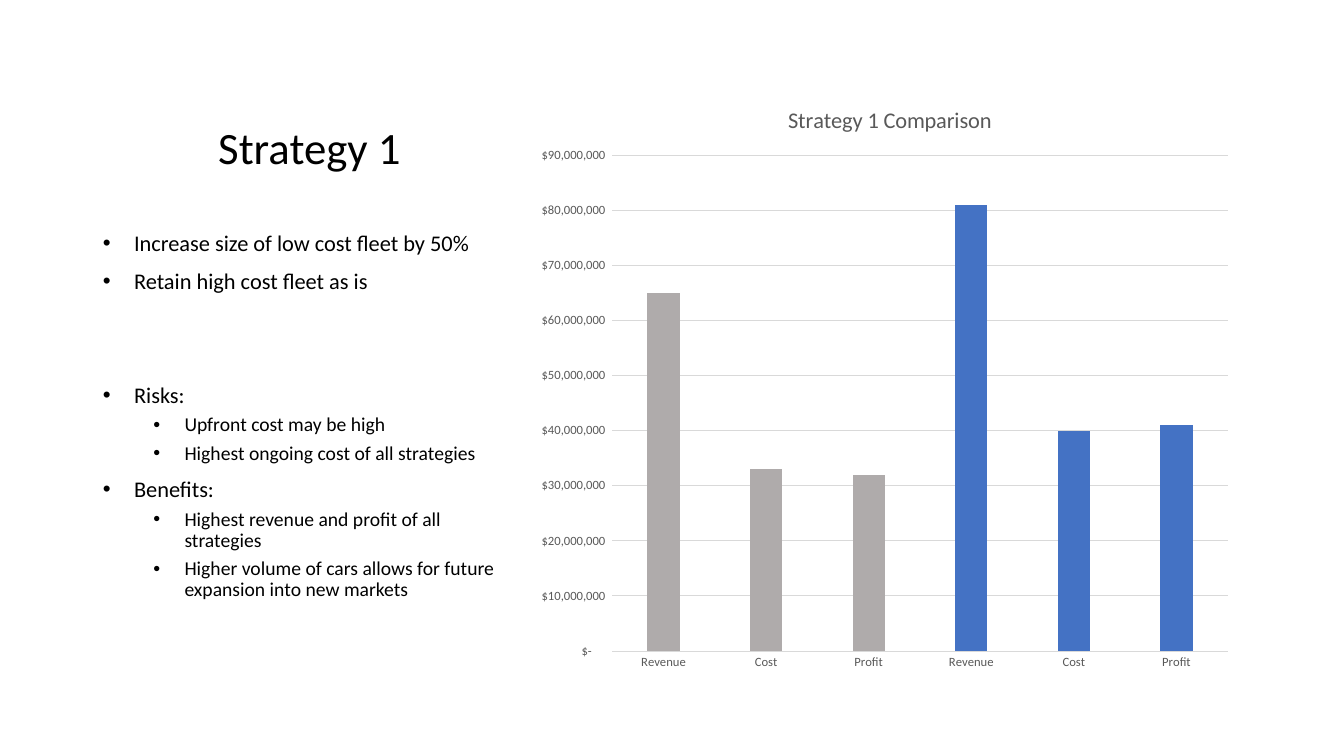
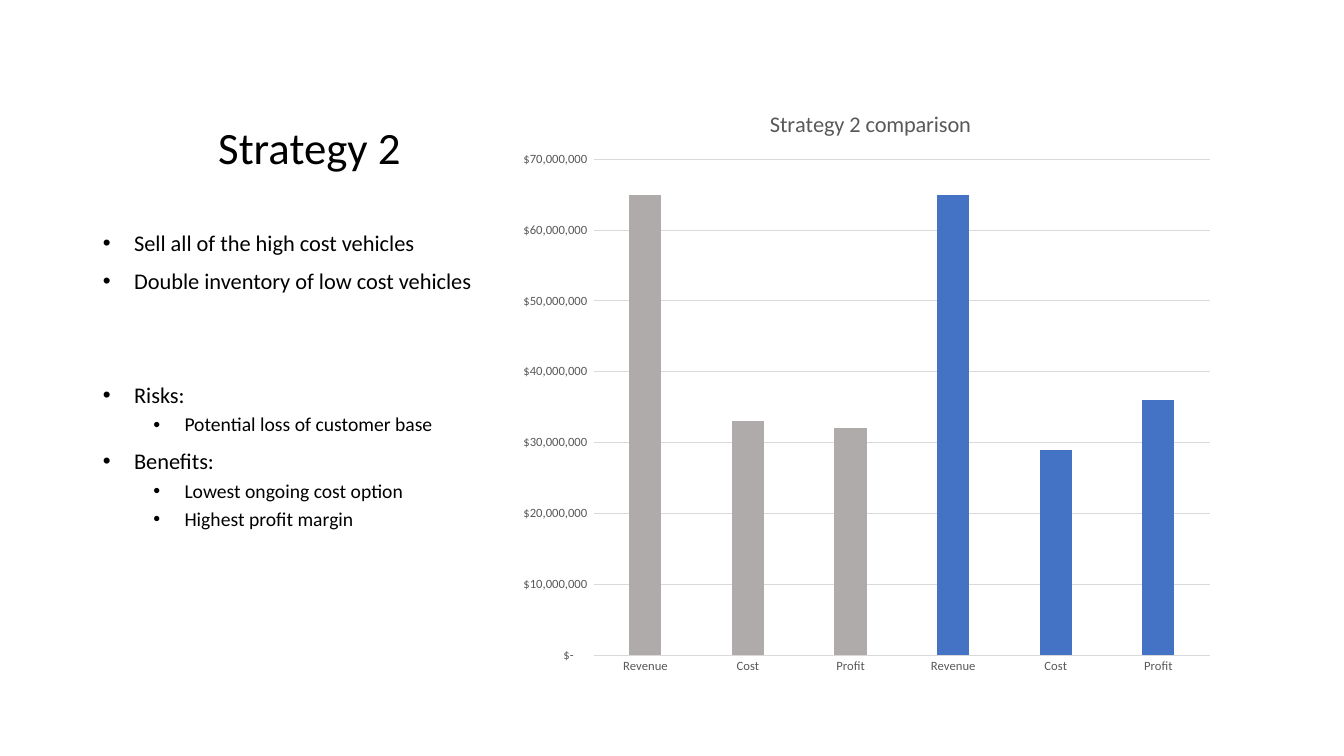
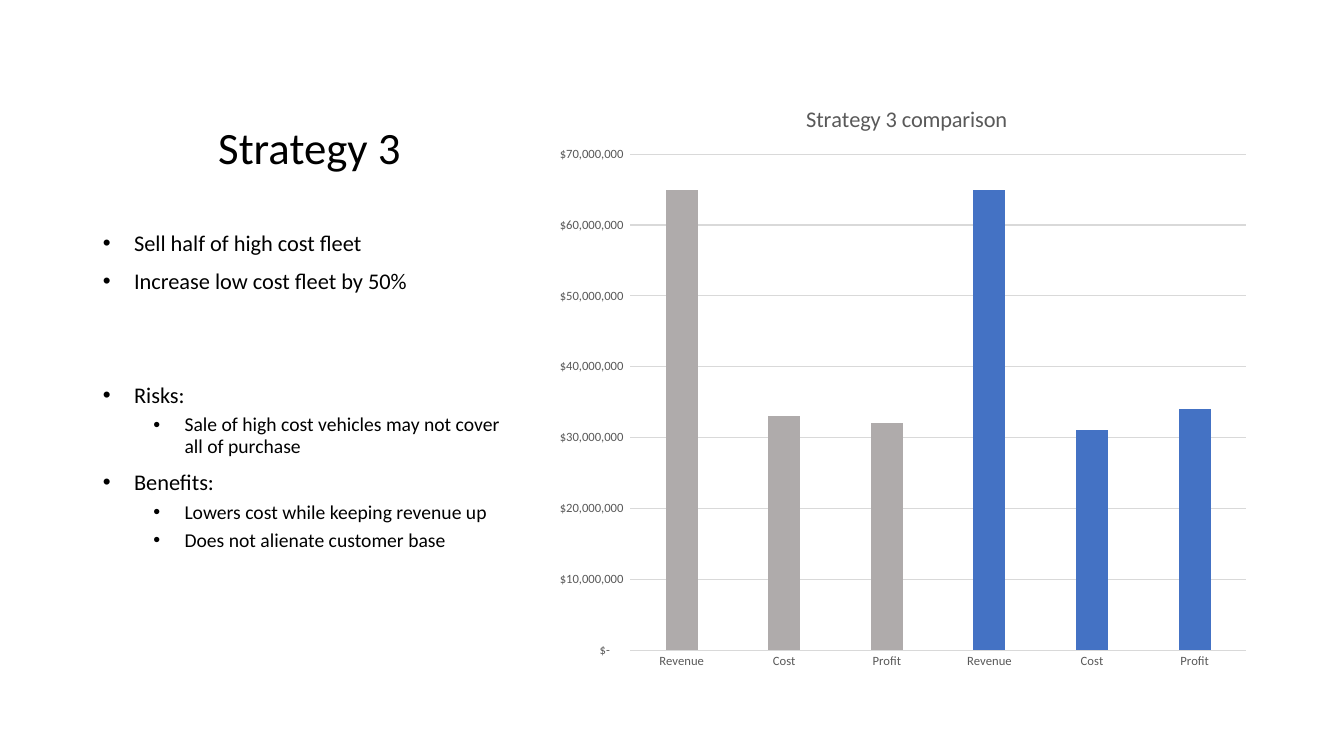
from pptx import Presentation
from pptx.chart.data import CategoryChartData
from pptx.dml.color import RGBColor
from pptx.enum.chart import XL_CHART_TYPE, XL_TICK_MARK
from pptx.enum.text import MSO_ANCHOR, MSO_AUTO_SIZE, PP_ALIGN
from pptx.oxml import parse_xml
from pptx.oxml.ns import nsdecls, qn
from pptx.util import Inches, Pt

COLUMNS = XL_CHART_TYPE.COLUMN_CLUSTERED
NO_TICK = XL_TICK_MARK.NONE
TOP, BOTTOM = MSO_ANCHOR.TOP, MSO_ANCHOR.BOTTOM
NO_FIT = MSO_AUTO_SIZE.NONE
LEFT, CENTER = PP_ALIGN.LEFT, PP_ALIGN.CENTER

FONT = "Calibri"
BLACK = RGBColor(0x00, 0x00, 0x00)
TEXT_GREY = RGBColor(0x59, 0x59, 0x59)
LINE_GREY = RGBColor(0xD9, 0xD9, 0xD9)
BAR_GREY = RGBColor(0xAF, 0xAB, 0xAB)
BAR_BLUE = RGBColor(0x44, 0x72, 0xC4)

MILLION = 1_000_000
MEASURES = ["Revenue", "Cost", "Profit"]
CURRENT = [65, 33, 32]
DOLLARS = (r'_([$$-409]* #,##0_);_([$$-409]* \(#,##0\);'
           r'_([$$-409]* "-"??_);_(@_)')

STRATEGIES = [
    {
        "title": "Strategy 1",
        "actions": ["Increase size of low cost fleet by 50%",
                    "Retain high cost fleet as is"],
        "risks": ["Upfront cost may be high",
                  "Highest ongoing cost of all strategies"],
        "benefits": ["Highest revenue and profit of all strategies",
                     "Higher volume of cars allows for future expansion "
                     "into new markets"],
        "chart_title": "Strategy 1 Comparison",
        "outcome": [81, 40, 41],
        "chart_at": (5.22, 0.76),
    },
    {
        "title": "Strategy 2",
        "actions": ["Sell all of the high cost vehicles",
                    "Double inventory of low cost vehicles"],
        "risks": ["Potential loss of customer base"],
        "benefits": ["Lowest ongoing cost option", "Highest profit margin"],
        "chart_title": "Strategy 2 comparison",
        "outcome": [65, 29, 36],
        "chart_at": (5.04, 0.8),
    },
    {
        "title": "Strategy 3",
        "actions": ["Sell half of high cost fleet",
                    "Increase low cost fleet by 50%"],
        "risks": ["Sale of high cost vehicles may not cover all of purchase"],
        "benefits": ["Lowers cost while keeping revenue up",
                     "Does not alienate customer base"],
        "chart_title": "Strategy 3 comparison",
        "outcome": [65, 31, 34],
        "chart_at": (5.4, 0.75),
    },
]


def style_font(font, size, color):
    """Apply the deck typeface at a size and colour."""
    font.name, font.size, font.bold = FONT, Pt(size), False
    font.color.rgb = color


def write(para, text, size=16, color=BLACK, align=LEFT, before=0, indent=None):
    """Write one paragraph, bulleted when an indent is given."""
    para.alignment = align
    para.line_spacing = 0.9
    para.space_before, para.space_after = Pt(before), Pt(0)
    if indent is not None:
        properties = para._p.get_or_add_pPr()
        properties.set("marL", str(Inches(indent)))
        properties.set("indent", str(Inches(-0.31)))
        for tag in ('buFont typeface="Arial"', 'buChar char="•"'):
            properties.append(parse_xml(f'<a:{tag} {nsdecls("a")}/>'))
    span = para.add_run()
    span.text = text
    style_font(span.font, size, color)


def set_layout(parent, position, target="", **fractions):
    """Give a chart part a manual layout in fractions of the chart."""
    for old in parent.findall(qn("c:layout")):
        parent.remove(old)
    inner = f'<c:layoutTarget val="{target}"/>' if target else ""
    inner += "".join(f'<c:{side}Mode val="edge"/>' for side in "xy")
    inner += "".join(f'<c:{side} val="{value}"/>'
                     for side, value in fractions.items())
    parent.insert(position, parse_xml(
        f'<c:layout {nsdecls("c")}><c:manualLayout>{inner}'
        '</c:manualLayout></c:layout>'))


class StrategyDeck:
    """Hold the shared style and the slide being built."""

    def __init__(self):
        """Start an empty widescreen deck."""
        self.deck = Presentation()
        self.deck.slide_width = Inches(13.33)
        self.deck.slide_height = Inches(7.5)
        self.page = None

    def add_page(self):
        """Add a title and content slide."""
        self.page = self.deck.slides.add_slide(self.deck.slide_layouts[1])

    def place_text(self, index, top, height, anchor):
        """Move a placeholder into the left column and return its text frame."""
        box = self.page.placeholders[index]
        box.left, box.top = Inches(0.92), Inches(top)
        box.width, box.height = Inches(4.3), Inches(height)
        frame = box.text_frame
        frame.word_wrap = True
        frame.auto_size = NO_FIT
        frame.vertical_anchor = anchor
        return frame

    def add_title(self, text):
        """Write the slide title."""
        frame = self.place_text(0, 1.08, 0.7, BOTTOM)
        write(frame.paragraphs[0], text, size=32, align=CENTER)

    def add_points(self, actions, risks, benefits):
        """List the actions, then the risks and benefits below a gap."""
        frame = self.place_text(1, 2.25, 4.17, TOP)
        points = [(text, 0, 10) for text in actions]
        for heading, details, before in (("Risks:", risks, 64),
                                         ("Benefits:", benefits, 10)):
            points.append((heading, 0, before))
            points += [(text, 1, 5) for text in details]
        for number, (text, level, before) in enumerate(points):
            para = frame.add_paragraph() if number else frame.paragraphs[0]
            para.level = level
            write(para, text, size=14 if level else 16,
                  before=before if number else 0, indent=0.31 + 0.5 * level)

    def add_comparison(self, title, outcome, left, top):
        """Chart the current figures in grey beside the outcome in blue."""
        data = CategoryChartData(number_format=DOLLARS)
        data.categories = MEASURES * 2
        data.add_series("Series 1",
                        [value * MILLION for value in CURRENT + outcome])
        chart = self.page.shapes.add_chart(
            COLUMNS, Inches(left), Inches(top), Inches(7.1), Inches(6),
            data).chart
        style_font(chart.font, 10, BLACK)
        chart.has_legend = False
        chart.has_title = True
        write(chart.chart_title.text_frame.paragraphs[0], title,
              color=TEXT_GREY, align=CENTER)
        set_layout(chart.chart_title._element, 1, x=0.36, y=0.04)

        plot = chart.plots[0]
        plot.vary_by_categories = False
        plot.gap_width, plot.overlap = 219, -27
        set_layout(plot._element.getparent(), 0, target="inner",
                   x=0.12, y=0.13, w=0.86, h=0.82)
        series = plot.series[0]
        for number in range(len(CURRENT)):
            fill = series.points[number].format.fill
            fill.solid()
            fill.fore_color.rgb = BAR_GREY
        series.format.fill.solid()
        series.format.fill.fore_color.rgb = BAR_BLUE
        self.style_axes(chart.category_axis, chart.value_axis)

    def style_axes(self, categories, values):
        """Style both axes and the horizontal grid."""
        for axis in (categories, values):
            axis.major_tick_mark = axis.minor_tick_mark = NO_TICK
            style_font(axis.tick_labels.font, 9, TEXT_GREY)
        values.has_major_gridlines = True
        for line in (categories.format.line, values.major_gridlines.format.line):
            line.color.rgb = LINE_GREY
            line.width = Pt(0.75)
        values.format.line.fill.background()
        values.minimum_scale = 0
        values.major_unit = 10 * MILLION
        values.tick_labels.number_format = DOLLARS
        values.tick_labels.number_format_is_linked = False


def main():
    """Build one slide for each strategy."""
    builder = StrategyDeck()
    for strategy in STRATEGIES:
        builder.add_page()
        builder.add_title(strategy["title"])
        builder.add_points(strategy["actions"], strategy["risks"],
                           strategy["benefits"])
        builder.add_comparison(strategy["chart_title"], strategy["outcome"],
                               *strategy["chart_at"])
    builder.deck.save("out.pptx")


if __name__ == "__main__":
    main()
